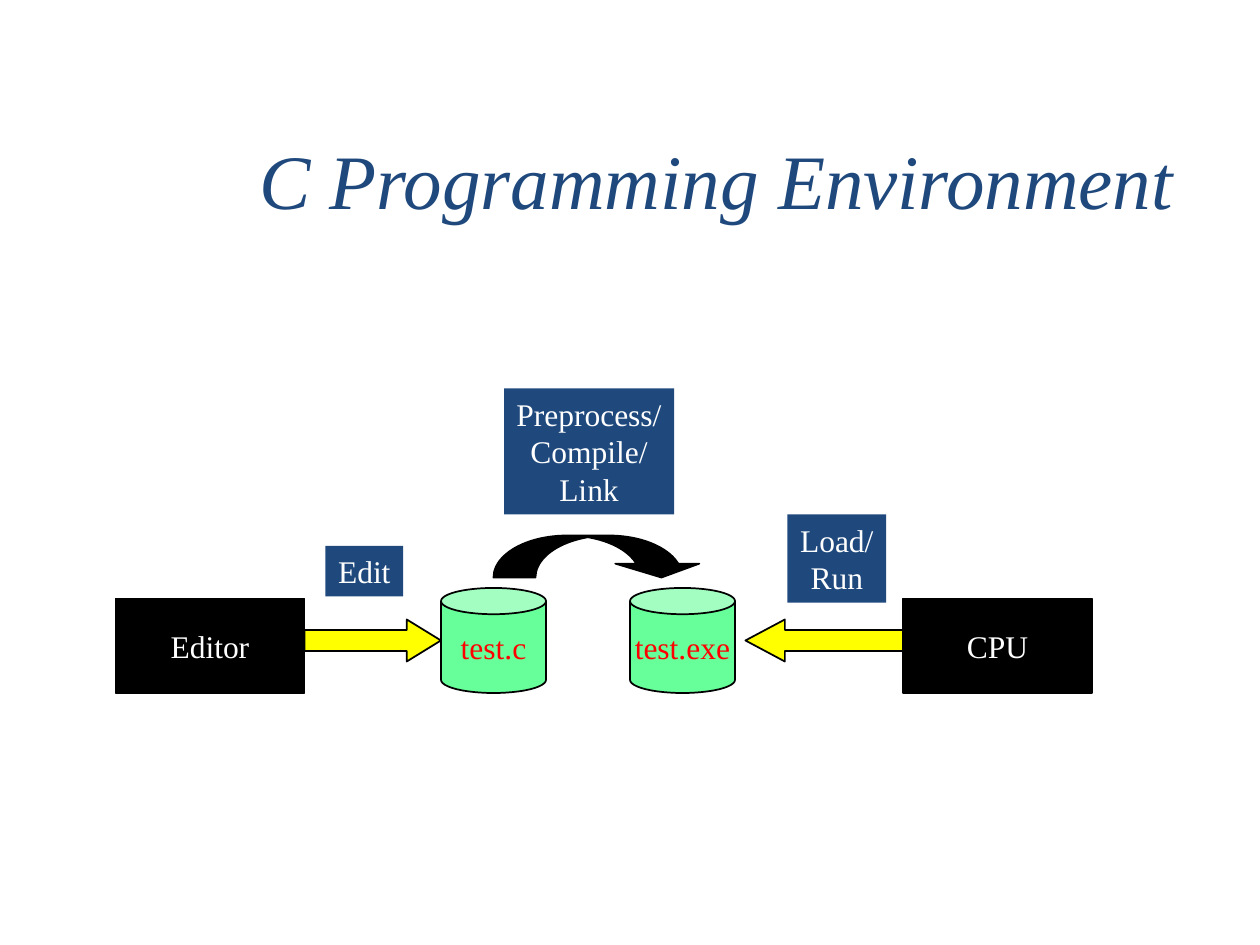
from pptx import Presentation
from pptx.dml.color import RGBColor as Rgb
from pptx.enum.shapes import MSO_SHAPE as Kind
from pptx.enum.text import MSO_ANCHOR as Anchor, MSO_AUTO_SIZE as Fit, PP_ALIGN as Align
from pptx.util import Inches, Pt

# The grid has 12 units to the inch; boxes are left, top, width, height.
UNIT = Inches(1) / 12
FONT = "Times New Roman"
COLORS = {"navy": "1F497D", "white": "FFFFFF", "black": "000000",
          "green": "66FF99", "red": "FF0000", "yellow": "FFFF00"}


def tone(name):
    return Rgb.from_string(COLORS[name])


def place(box):
    return [round(n * UNIT) for n in box]


def write(frame, text, color, size=18, align=Align.CENTER, italic=False):
    frame.text = text
    for par in frame.paragraphs:
        par.alignment = align
        for run in par.runs:
            font = run.font
            font.name, font.size, font.italic = FONT, Pt(size), italic
            font.color.rgb = tone(color)


def draw(slide, kind, box, fill, line="black", adjust=()):
    shape = slide.shapes.add_shape(kind, *place(box))
    shape.shadow.inherit = False
    shape.fill.solid()
    shape.fill.fore_color.rgb = tone(fill)
    if line:
        shape.line.color.rgb = tone(line)
        shape.line.width = Pt(1)
    else:
        shape.line.fill.background()
    for i, value in enumerate(adjust):
        shape.adjustments[i] = value
    return shape


def add_title(slide, box, text):
    frame = slide.shapes.add_textbox(*place(box)).text_frame
    frame.word_wrap = True
    frame.vertical_anchor = Anchor.BOTTOM
    write(frame, text, "navy", 44, Align.RIGHT, True)


def add_node(slide, kind, box, text, fill, color, adjust=()):
    """Draw a program box or a file drum with its name in the middle."""
    frame = draw(slide, kind, box, fill, adjust=adjust).text_frame
    frame.word_wrap = False
    frame.vertical_anchor = Anchor.MIDDLE
    write(frame, text, color)


def add_label(slide, box, text):
    frame = draw(slide, Kind.RECTANGLE, box, "navy", None).text_frame
    frame.word_wrap = False
    frame.auto_size = Fit.SHAPE_TO_FIT_TEXT
    frame.vertical_anchor = Anchor.TOP
    write(frame, text, "white")


def add_arrow(slide, box, flip=False):
    head = 0.65 * box[2] / box[3] * 0.385
    arrow = draw(slide, Kind.RIGHT_ARROW, box, "yellow", adjust=(0.5, head))
    if flip:
        arrow._element.spPr.xfrm.set("flipH", "1")


def add_flow(slide, x, y):
    """Draw the tool chain with its top left corner at x, y."""
    for dx, text in ((31, "test.c"), (49, "test.exe")):
        add_node(slide, Kind.CAN, (x + dx, y + 19, 10, 10), text, "green", "red", (0.25,))
    for dx, text in ((0, "Editor"), (75, "CPU")):
        add_node(slide, Kind.RECTANGLE, (x + dx, y + 20, 18, 9), text, "black", "white")
    add_arrow(slide, (x + 18, y + 22, 13, 4))
    add_arrow(slide, (x + 60, y + 22, 15, 4), flip=True)
    draw(slide, Kind.CURVED_DOWN_ARROW, (x + 36, y + 14, 20, 4), "black",
         adjust=(1, 2, 0.33))
    for dx, dy, w, h, text in ((20, 15, 7.4, 4.8, "Edit"),
                               (37, 0, 16.2, 12, "Preprocess/\nCompile/\nLink"),
                               (64, 12, 9.4, 8.4, "Load/\nRun")):
        add_label(slide, (x + dx, y + dy, w, h), text)


def main():
    deck = Presentation()
    deck.slide_width, deck.slide_height = Inches(10), Inches(7.5)
    slide = deck.slides.add_slide(deck.slide_layouts[6])
    add_title(slide, (11, 7, 102, 15), "C Programming Environment")
    add_flow(slide, 11, 37)
    deck.save("out.pptx")


if __name__ == "__main__":
    main()
